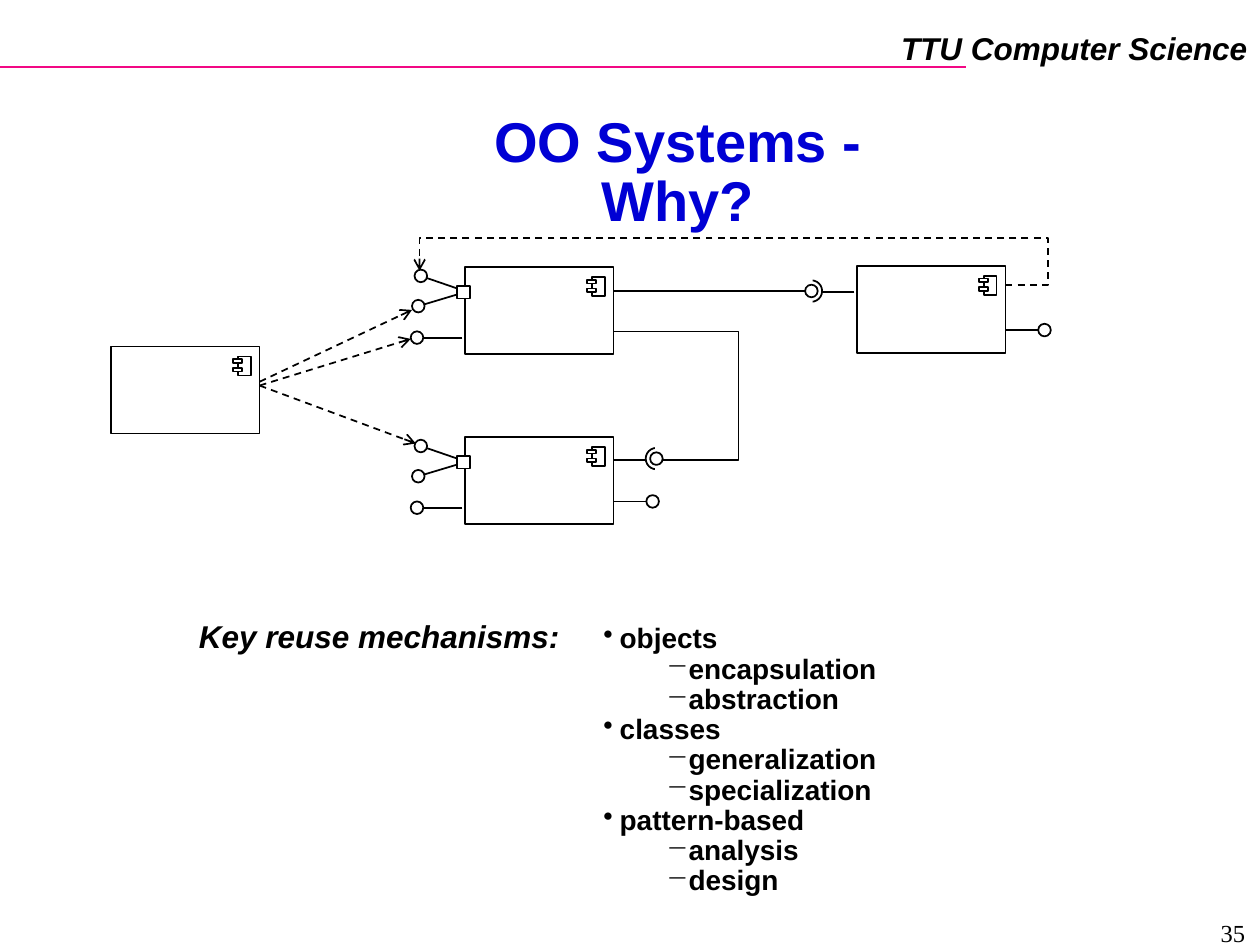
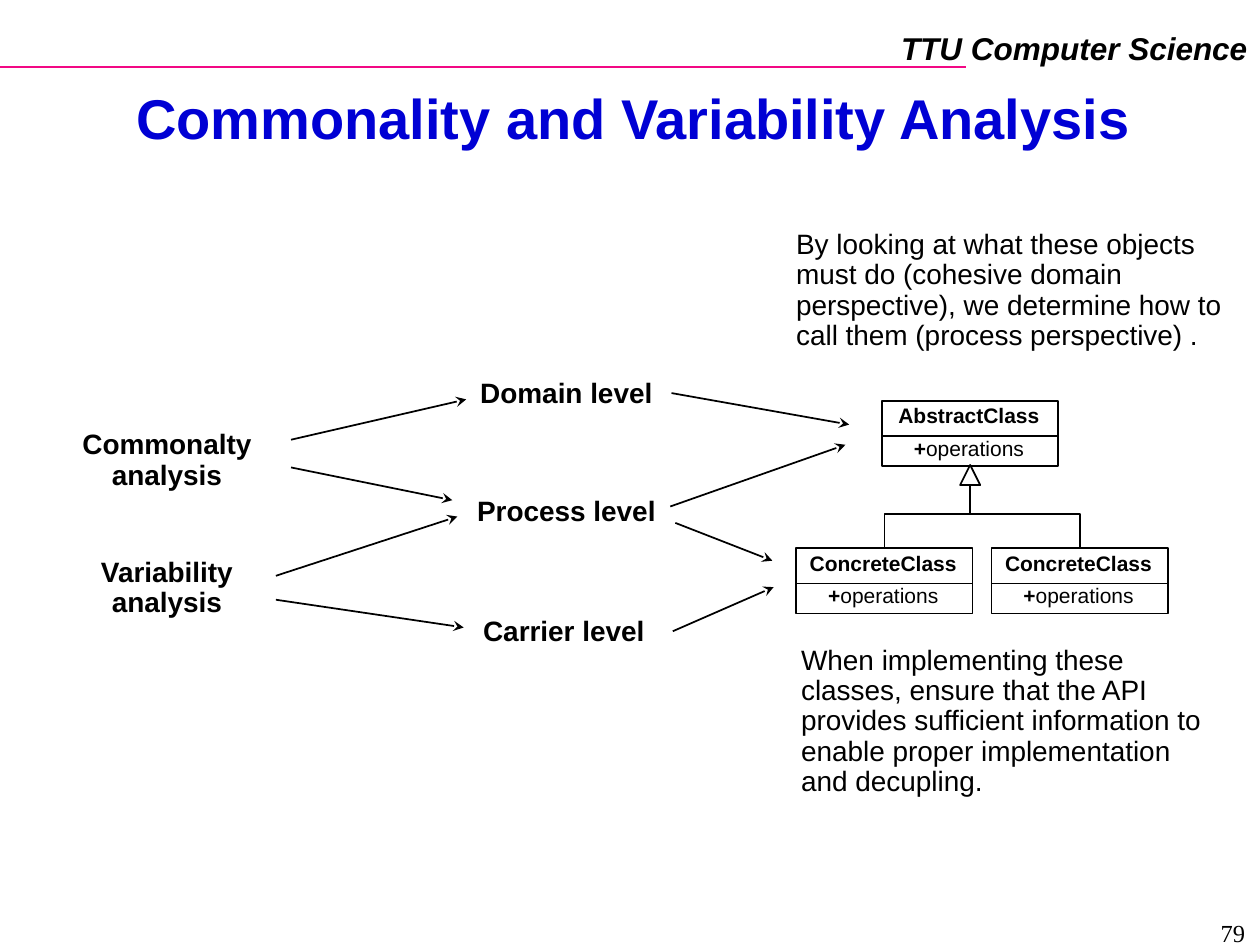
import math
from dataclasses import dataclass

import pptx
import pptx.util
from pptx.dml.color import RGBColor
from pptx.enum.dml import MSO_LINE
from pptx.enum.shapes import MSO_CONNECTOR, MSO_SHAPE
from pptx.enum.text import MSO_ANCHOR, PP_ALIGN
from pptx.oxml.ns import qn
from pptx.oxml.xmlchemy import OxmlElement
from pptx.util import Inches


@dataclass(frozen=True)
class Theme:
    ink: str = "000000"
    paper: str = "FFFFFF"
    title: str = "0000D4"
    rule: str = "F20884"
    font: str = "Arial"
    number_font: str = "Times New Roman"
    title_size: int = 32
    header_size: int = 18
    body_size: int = 16
    number_size: int = 14
    class_size: int = 12
    line_width: int = 1
    title_spacing: float = 0.87
    body_spacing: float = 0.9


THEME = Theme()
COMPONENT_W, COMPONENT_H = 1.18, 0.69
CLASS_W, CLASS_H = 1.4, 0.52
BALL, PORT, SOCKET = 0.1, 0.1, 0.17


class Deck:
    """Holds the theme and the slide being drawn."""

    def __init__(self, theme):
        self.theme = theme
        self.presentation = pptx.Presentation()
        self.presentation.slide_width = Inches(10)
        self.presentation.slide_height = Inches(7.5)
        self.slide = None

    def new_slide(self, title, title_at, number, anchor=MSO_ANCHOR.TOP, inset=(0.1, 0.05)):
        theme = self.theme
        self.slide = self.presentation.slides.add_slide(self.presentation.slide_layouts[6])
        self.line((0, 0.53), (7.67, 0.53), color=theme.rule)
        self.text("TTU Computer Science", (7.05, 0.18, 2.95, 0.4), size=theme.header_size,
                  bold=True, italic=True, align=PP_ALIGN.RIGHT, wrap=False, spacing=1.0)
        self.text(title, title_at, size=theme.title_size, color=theme.title, bold=True,
                  align=PP_ALIGN.CENTER, spacing=theme.title_spacing, anchor=anchor, inset=inset)
        self.text(str(number), (7.65, 7.24, 2.33, 0.22), size=theme.number_size,
                  font=theme.number_font, align=PP_ALIGN.RIGHT, spacing=1.0)

    def text(self, content, at, size=None, color=None, font=None, bold=False, italic=False,
             align=PP_ALIGN.LEFT, spacing=None, wrap=True, anchor=MSO_ANCHOR.TOP,
             inset=(0.1, 0.05), bold_prefix="", bullets=None):
        """Adds a text box; content is a string or a list of (level, string) items.

        bullets gives each level its (mark, left margin, hanging indent).
        """
        theme = self.theme
        frame = self.slide.shapes.add_textbox(*map(Inches, at)).text_frame
        frame.word_wrap = wrap
        frame.vertical_anchor = anchor
        frame.margin_left = frame.margin_right = Inches(inset[0])
        frame.margin_top = frame.margin_bottom = Inches(inset[1])
        items = [(0, content)] if isinstance(content, str) else content
        for index, (level, words) in enumerate(items):
            paragraph = frame.add_paragraph() if index else frame.paragraphs[0]
            paragraph.level = level
            if bullets:
                self.bullet(paragraph, *bullets[level])
            paragraph.alignment = align
            paragraph.line_spacing = spacing or theme.body_spacing
            for part, is_bold in ((bold_prefix, True), (words, bold)):
                if not part:
                    continue
                run = paragraph.add_run()
                run.text = part
                run.font.name = font or theme.font
                run.font.size = pptx.util.Pt(size or theme.body_size)
                run.font.bold, run.font.italic = is_bold, italic
                run.font.color.rgb = RGBColor.from_string(color or theme.ink)

    def bullet(self, paragraph, mark, margin, hanging):
        properties = paragraph._p.get_or_add_pPr()
        properties.set("marL", str(Inches(margin)))
        properties.set("indent", str(-Inches(hanging)))
        bullet_color = OxmlElement("a:buClr")
        rgb = OxmlElement("a:srgbClr")
        rgb.set("val", self.theme.ink)
        bullet_color.append(rgb)
        character = OxmlElement("a:buChar")
        character.set("char", mark)
        properties.extend([bullet_color, character])

    def stroke(self, line, color=None, dashed=False, arrow=None):
        line.color.rgb = RGBColor.from_string(color or self.theme.ink)
        line.width = pptx.util.Pt(self.theme.line_width)
        if dashed:
            line.dash_style = MSO_LINE.DASH
        if arrow:
            head = OxmlElement("a:tailEnd")
            head.set("type", arrow)
            line._get_or_add_ln().append(head)

    def line(self, start, end, **style):
        connector = self.slide.shapes.add_connector(
            MSO_CONNECTOR.STRAIGHT, *map(Inches, (*start, *end)))
        connector._element.find(qn("p:spPr")).append(OxmlElement("a:effectLst"))
        self.stroke(connector.line, **style)
        return connector

    def shape(self, kind, at, filled=False, outlined=True):
        shape = self.slide.shapes.add_shape(kind, *map(Inches, at))
        shape.shadow.inherit = False
        if filled:
            shape.fill.solid()
            shape.fill.fore_color.rgb = RGBColor.from_string(self.theme.paper)
        else:
            shape.fill.background()
        if outlined:
            self.stroke(shape.line)
        else:
            shape.line.fill.background()
        return shape

    def polyline(self, points, **style):
        (first, *rest) = [(Inches(x), Inches(y)) for x, y in points]
        builder = self.slide.shapes.build_freeform(*first)
        builder.add_line_segments(rest, close=False)
        path = builder.convert_to_shape()
        path.shadow.inherit = False
        path.fill.background()
        self.stroke(path.line, **style)

    def component(self, x, y):
        """UML component box with its icon in the top right corner."""
        self.shape(MSO_SHAPE.RECTANGLE, (x, y, COMPONENT_W, COMPONENT_H))
        self.shape(MSO_SHAPE.RECTANGLE, (x + 1.01, y + 0.08, 0.1, 0.15))
        for tab_y in (0.1, 0.17):
            self.shape(MSO_SHAPE.RECTANGLE, (x + 0.97, y + tab_y, 0.07, 0.03), filled=True)

    def ball(self, x, y):
        self.shape(MSO_SHAPE.OVAL, (x - BALL / 2, y - BALL / 2, BALL, BALL))

    def lollipop(self, start, center):
        """Provided interface: a line from start to the rim of a ball."""
        (x, y), (ball_x, ball_y) = start, center
        reach = 1 - BALL / 2 / math.dist(start, center)
        self.line(start, (x + (ball_x - x) * reach, y + (ball_y - y) * reach))
        self.ball(ball_x, ball_y)

    def server(self, x, y):
        """Component with a port and three provided interfaces on its left."""
        self.component(x, y)
        self.shape(MSO_SHAPE.RECTANGLE, (x - 0.06, y + 0.15, PORT, PORT), filled=True)
        for start, center in (((-0.06, 0.17), (-0.35, 0.07)),
                              ((-0.07, 0.22), (-0.37, 0.31)),
                              ((-0.02, 0.56), (-0.38, 0.56))):
            self.lollipop((x + start[0], y + start[1]), (x + center[0], y + center[1]))

    def right_interface(self, x, y):
        edge = x + COMPONENT_W
        self.lollipop((edge, y + 0.51), (edge + 0.31, y + 0.51))

    def ball_and_socket(self, x, y, opening):
        """Socket centred at x, y; opening is 1 to the right and -1 to the left."""
        self.line((x - opening * 0.34, y + 0.01), (x - opening * 0.09, y + 0.01))
        self.shape(MSO_SHAPE.OVAL, (x - SOCKET / 2, y - SOCKET / 2, SOCKET, SOCKET))
        self.shape(MSO_SHAPE.RECTANGLE, (x + opening * 0.05 - 0.06, y - 0.11, 0.12, 0.22),
                   filled=True, outlined=False)
        self.ball(x, y)

    def class_box(self, name, x, y):
        box = self.shape(MSO_SHAPE.RECTANGLE, (x, y, CLASS_W, CLASS_H))
        label = dict(size=self.theme.class_size, align=PP_ALIGN.CENTER)
        self.text(name, (x - 0.05, y - 0.01, 1.48, 0.28), bold=True, **label)
        self.line((x, y + 0.28), (x + CLASS_W, y + 0.28))
        self.text("operations", (x - 0.05, y + 0.25, 1.48, 0.28), bold_prefix="+", **label)
        return box


def draw_oo_systems(deck):
    deck.new_slide("OO Systems - Why?", (3.19, 0.89, 4.38, 0.98), 35, inset=(0.07, 0.03))
    mechanisms = {"objects": ("encapsulation", "abstraction"),
                  "classes": ("generalization", "specialization"),
                  "pattern-based": ("analysis", "design")}
    outline = []
    for mechanism, aspects in mechanisms.items():
        outline += [(0, mechanism), *((1, aspect) for aspect in aspects)]
    deck.text(outline, (4.69, 4.91, 3.79, 2.26), bold=True,
              bullets=(("•", 0.13, 0.13), ("−", 0.62, 0.12)))
    deck.text("Key reuse mechanisms:", (1.48, 4.88, 3.06, 0.64), size=deck.theme.header_size,
              bold=True, italic=True, wrap=False)

    deck.component(0.88, 2.75)
    deck.server(3.69, 2.12)
    deck.server(3.69, 3.47)
    deck.right_interface(3.69, 3.47)
    deck.component(6.8, 2.11)
    deck.right_interface(6.8, 2.11)
    deck.ball_and_socket(5.21, 3.64, opening=1)
    deck.ball_and_socket(6.44, 2.31, opening=-1)
    deck.line((4.87, 2.31), (6.39, 2.31))

    uses = dict(dashed=True, arrow="arrow")
    deck.polyline([(7.98, 2.26), (8.32, 2.26), (8.32, 1.89), (3.33, 1.89), (3.33, 2.15)], **uses)
    for start_y, interface in ((3.03, (3.27, 2.46)), (3.06, (3.26, 2.69)), (3.06, (3.3, 3.52))):
        deck.line((2.06, start_y), interface, **uses)
    deck.polyline([(4.87, 2.63), (5.86, 2.63), (5.86, 3.65), (5.26, 3.65)])


def draw_analysis(deck):
    deck.new_slide("Commonality and Variability Analysis", (0.53, 0.84, 9, 0.26), 79,
                   anchor=MSO_ANCHOR.MIDDLE)
    for label, at in (("Domain level", (3.59, 2.96, 1.81, 0.34)),
                      ("Process level", (3.62, 3.9, 1.75, 0.34)),
                      ("Carrier level", (3.7, 4.85, 1.55, 0.34)),
                      ("Commonalty analysis", (0.55, 3.37, 1.55, 0.58)),
                      ("Variability analysis", (0.55, 4.38, 1.55, 0.58))):
        deck.text(label, at, bold=True, align=PP_ALIGN.CENTER)

    analysis_to_level = [((2.31, 3.49), (3.7, 3.17)), ((2.31, 3.71), (3.59, 3.97)),
                         ((2.19, 4.57), (3.63, 4.1)), ((2.19, 4.76), (3.68, 4.98))]
    level_to_class = [((5.33, 3.12), (6.74, 3.37)), ((5.32, 4.02), (6.71, 3.53)),
                      ((5.36, 4.15), (6.13, 4.45)), ((5.34, 5.01), (6.14, 4.66))]
    for start, end in analysis_to_level + level_to_class:
        deck.line(start, end, arrow="stealth")

    concrete_xs, concrete_y, branch_y = (6.32, 7.87), 4.35, 4.08
    for x in concrete_xs:
        deck.class_box("ConcreteClass", x, concrete_y)
    abstract_x, abstract_y = 7, 3.18
    abstract = deck.class_box("AbstractClass", abstract_x, abstract_y)
    left, right = (x + CLASS_W / 2 for x in concrete_xs)
    deck.polyline([(left, concrete_y), (left, branch_y), (right, branch_y), (right, concrete_y)])
    stem_x, stem_y = abstract_x + CLASS_W / 2, abstract_y + CLASS_H
    stem = deck.line((stem_x, stem_y), (stem_x, branch_y))
    stem.begin_connect(abstract, 2)
    deck.shape(MSO_SHAPE.ISOSCELES_TRIANGLE, (stem_x - 0.08, stem_y - 0.01, 0.16, 0.16),
               filled=True)

    deck.text("When implementing these classes, ensure that the API provides sufficient "
              "information to enable proper implementation and decupling.",
              (6.26, 5.08, 3.54, 1.3))
    deck.text("By looking at what these objects must do (cohesive domain perspective), "
              "we determine how to call them (process perspective) .",
              (6.22, 1.78, 3.78, 1.06))


def main():
    deck = Deck(THEME)
    draw_oo_systems(deck)
    draw_analysis(deck)
    deck.presentation.save("out.pptx")


if __name__ == "__main__":
    main()
